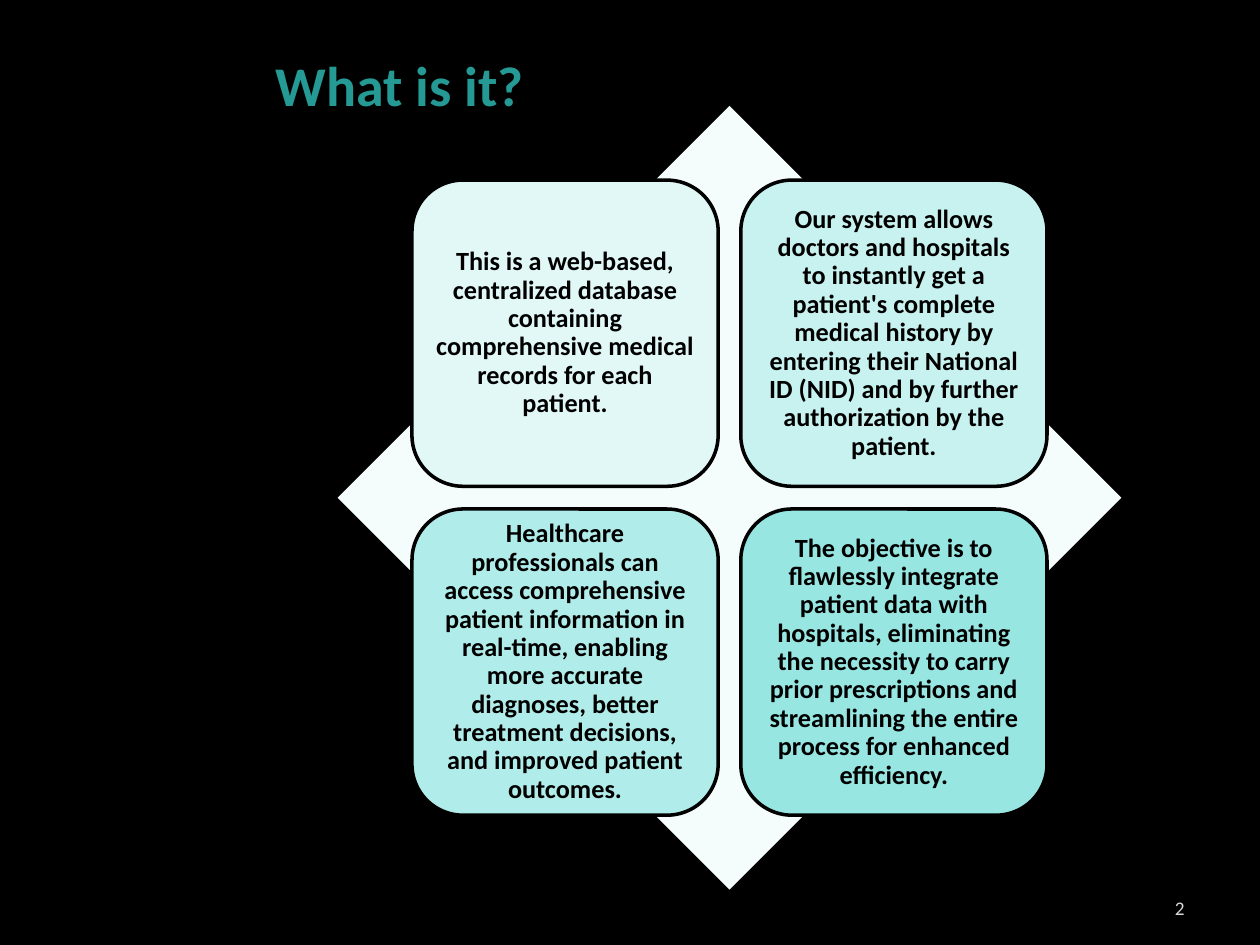
"""Build the "What is it?" slide: four cards over a diamond."""
import pptx
import pptx.util
import pptx.dml.color
import pptx.enum.shapes
import pptx.enum.text

Inches, Pt = pptx.util.Inches, pptx.util.Pt
RGB = pptx.dml.color.RGBColor.from_string
SHAPE = pptx.enum.shapes.MSO_SHAPE
ALIGN = pptx.enum.text.PP_ALIGN
ANCHOR = pptx.enum.text.MSO_ANCHOR

COLORS = {"back": "000000", "title": "259A94", "diamond": "F4FCFC",
          "ink": "000000", "number": "D9D9D9"}
CARDS = [
    ("E1F8F7", "This is a web-based, centralized database containing "
               "comprehensive medical records for each patient."),
    ("C8F2F0", "Our system allows doctors and hospitals to instantly get a "
               "patient's complete medical history by entering their National "
               "ID (NID) and by further authorization by the patient."),
    ("B0ECE9", "Healthcare professionals can access comprehensive patient "
               "information in real-time, enabling more accurate diagnoses, "
               "better treatment decisions, and improved patient outcomes."),
    ("97E6E2", "The objective is to flawlessly integrate patient data with "
               "hospitals, eliminating the necessity to carry prior "
               "prescriptions and streamlining the entire process for "
               "enhanced efficiency."),
]
LEFT, TOP, SIDE = 2.68, 0.84, 6.22
CARD, PITCH, INSET = 2.43, 2.61, 0.59


def write(tf, text, size, color, align, bold=False):
    tf.word_wrap = True
    p = tf.paragraphs[0]
    p.text = text
    p.alignment = align
    p.font.name = "Calibri"
    p.font.size = Pt(size)
    p.font.bold = bold
    p.font.color.rgb = RGB(color)
    return p


def add_shape(s, kind, x, y, size, color):
    sp = s.shapes.add_shape(kind, Inches(x), Inches(y), Inches(size), Inches(size))
    sp.shadow.inherit = False
    sp.fill.solid()
    sp.fill.fore_color.rgb = RGB(color)
    sp.line.fill.background()
    return sp


prs = pptx.Presentation()
prs.slide_width, prs.slide_height = Inches(10), Inches(7.5)
s = prs.slides.add_slide(prs.slide_layouts[5])
s.background.fill.solid()
s.background.fill.fore_color.rgb = RGB(COLORS["back"])

title = s.shapes.title
title.left, title.top = Inches(2.09), Inches(0.28)
title.width, title.height = Inches(7.4), Inches(1.25)
tf = title.text_frame
tf.auto_size = pptx.enum.text.MSO_AUTO_SIZE.NONE
tf.vertical_anchor = ANCHOR.TOP
tf.margin_top = Inches(0.12)
write(tf, "What is it?", 32, COLORS["title"], ALIGN.LEFT, bold=True)

add_shape(s, SHAPE.DIAMOND, LEFT, TOP, SIDE, COLORS["diamond"])

for i, (fill, text) in enumerate(CARDS):
    row, col = divmod(i, 2)
    sp = add_shape(s, SHAPE.ROUNDED_RECTANGLE, LEFT + INSET + col * PITCH,
                   TOP + INSET + row * PITCH, CARD, fill)
    sp.line.color.rgb = RGB(COLORS["ink"])
    sp.line.width = Pt(2)
    tf = sp.text_frame
    tf.vertical_anchor = ANCHOR.MIDDLE
    tf.margin_left = tf.margin_right = Inches(0.06)
    tf.margin_top = tf.margin_bottom = Inches(0.06)
    p = write(tf, text, 15, COLORS["ink"], ALIGN.CENTER, bold=True)
    p.line_spacing = 0.9

number = s.shapes.add_textbox(Inches(7.17), Inches(7.06), Inches(2.33), Inches(0.29))
number.text_frame.vertical_anchor = ANCHOR.MIDDLE
write(number.text_frame, "2", 11, COLORS["number"], ALIGN.RIGHT)

prs.save("out.pptx")
